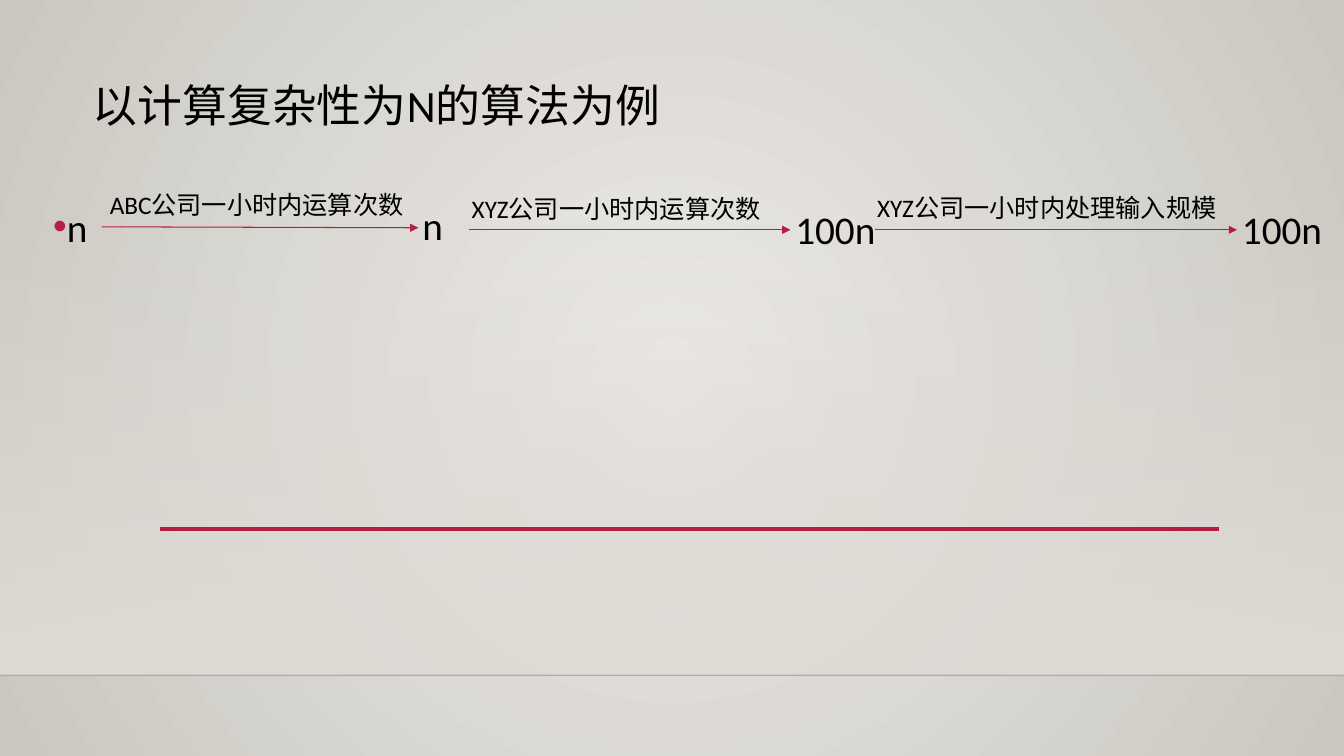
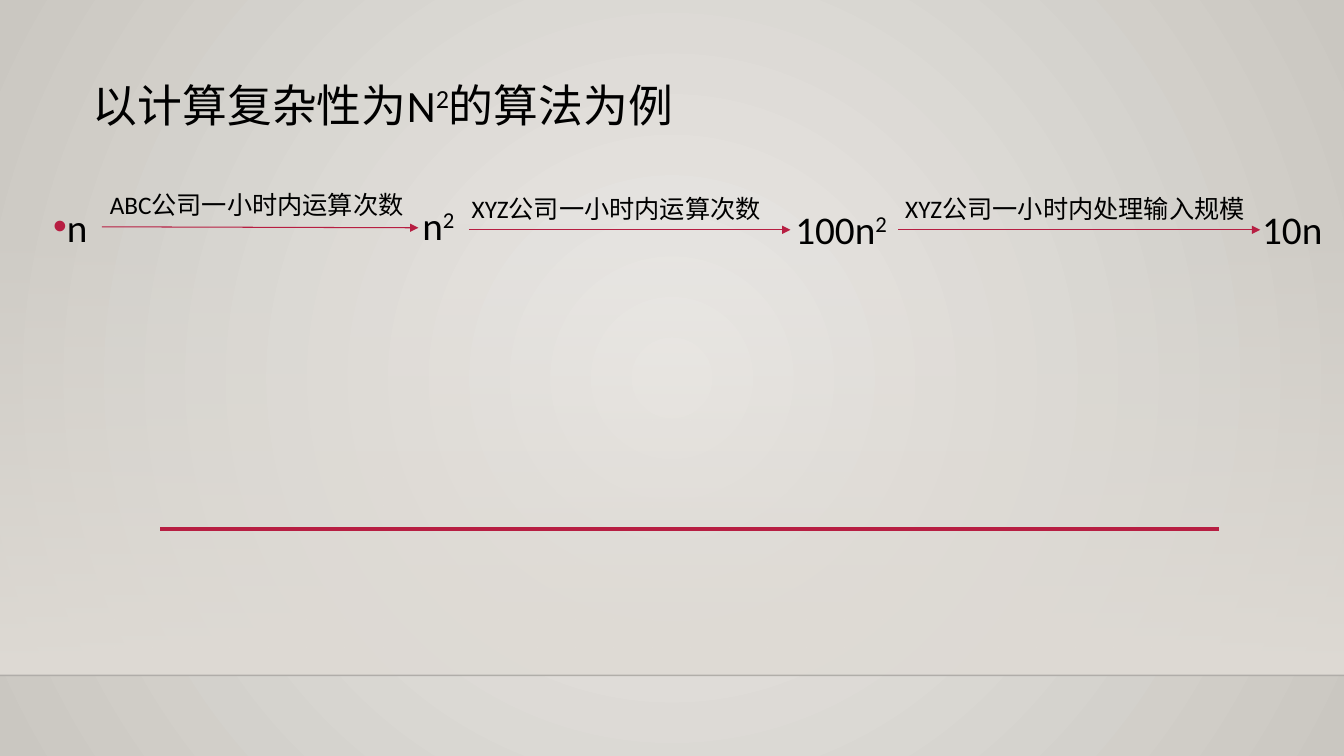
from pptx import Presentation
from pptx import util as u
from pptx.dml.color import RGBColor
from pptx.enum import shapes, text
from pptx.oxml import parse_xml
from pptx.oxml.ns import nsdecls, qn

COLS, ROWS = 13.33, 7.5
CELL = u.Inches(1)
FACE = "Calibri"
INK, RED, EDGE = "000000", "B71E42", "000001"
HALO, RIM, FLOOR = "ECEAE7", "CAC7C1", "DFDBD5"
BASE = 6.7
LABEL = {"size": 18}
TERM = {"size": 28}
HEAD = {"size": 32}
GROW = {"auto_size": text.MSO_AUTO_SIZE.SHAPE_TO_FIT_TEXT}
FIXED = {"auto_size": text.MSO_AUTO_SIZE.NONE}
TOP = {"vertical_anchor": text.MSO_ANCHOR.TOP}

DECKS = [
    {"title": "以计算复杂性为N的算法为例",
     "terms": [("n", 4.09, 1.95), ("100n", 7.79, 1.99), ("100n", 12.22, 1.99)],
     "last": 8.68, "label": (8.6, 1.86)},
    {"title": "以计算复杂性为N^2^的算法为例",
     "terms": [("n^2", 4.09, 1.95), ("100n^2", 7.79, 1.99), ("10n", 12.42, 1.99)],
     "last": 8.91, "label": (8.88, 1.87)},
]


def grid(*cells):
    return [round(cell * CELL) for cell in cells]


def hue(code):
    return RGBColor.from_string(code)


def style(item, *formats):
    for values in formats:
        for key, value in values.items():
            setattr(item, key, value)


def blend(stops, mode):
    marks = "".join(
        f'<a:gs pos="{pos * 1000}"><a:srgbClr val="{hue(code)}">'
        f'<a:alpha val="{alpha * 1000}"/></a:srgbClr></a:gs>'
        for pos, code, alpha in stops)
    return (f'<a:gradFill {nsdecls("a")} rotWithShape="1">'
            f'<a:gsLst>{marks}</a:gsLst>{mode}</a:gradFill>')


def write(para, words, size):
    for turn, part in enumerate(words.split("^")):
        if part:
            run = para.add_run()
            run.text = part
            style(run.font, {"name": FACE, "size": u.Pt(size["size"])})
            run.font.color.rgb = hue(INK)
            if turn % 2:
                run.font._element.set("baseline", "30000")


def box(slide, words, size, at, fit=GROW):
    frame = slide.shapes.add_textbox(*grid(*at)).text_frame
    style(frame, {"word_wrap": True}, fit, TOP)
    para = frame.paragraphs[0]
    write(para, words, size)
    return para


def rule(slide, start, end, width, code=RED, arrow=False):
    line = slide.shapes.add_connector(
        shapes.MSO_CONNECTOR.STRAIGHT, *grid(*start, *end))
    line.line.width = u.Pt(width)
    line.line.color.rgb = hue(code)
    if arrow:
        line.line._get_or_add_ln().append(
            parse_xml(f'<a:tailEnd {nsdecls("a")} type="triangle"/>'))
    line.element.spPr.append(parse_xml(f'<a:effectLst {nsdecls("a")}/>'))
    return line


def stage(layout, slide):
    glow = blend([(0, HALO, 100), (100, RIM, 100)],
                 '<a:path path="circle"><a:fillToRect l="50000" t="50000" '
                 'r="50000" b="50000"/></a:path>')
    layout.element.cSld.insert(0, parse_xml(
        f'<p:bg {nsdecls("p", "a")}><p:bgPr>{glow}<a:effectLst/></p:bgPr></p:bg>'))
    band = slide.shapes.add_shape(
        shapes.MSO_SHAPE.RECTANGLE, *grid(0, 2.21, COLS, BASE - 2.21))
    band.shadow.inherit = False
    band.line.fill.background()
    band.fill.background()
    props = band.element.spPr
    props.replace(props.find(qn("a:noFill")), parse_xml(
        blend([(0, FLOOR, 0), (100, FLOOR, 100)], '<a:lin ang="5400000" scaled="0"/>')))
    edge = rule(slide, (0, BASE), (COLS, BASE), 1, EDGE)
    edge.element.xpath(".//a:ln//a:srgbClr")[0].append(
        parse_xml(f'<a:alpha {nsdecls("a")} val="20000"/>'))
    for turn, part in enumerate((band, edge)):
        part.element.xpath(".//p:cNvPr")[0].set("id", str(100 + turn))
        layout.shapes.element.insert(2 + turn, part.element)


def head(slide, words):
    title = slide.shapes.title
    style(title, dict(zip(("left", "top", "width", "height"),
                          grid(0.82, 0.78, 10.5, 1.15))))
    style(title.text_frame, {"word_wrap": True}, FIXED, TOP)
    para = title.text_frame.paragraphs[0]
    style(para, {"alignment": text.PP_ALIGN.LEFT, "line_spacing": 0.9})
    write(para, words, HEAD)


def bullet(slide, words):
    para = box(slide, words, TERM, (0.43, 1.87, 11.5, 4.76), FIXED)
    style(para, {"line_spacing": 1.2, "space_before": u.Pt(10)})
    props = para._p.get_or_add_pPr()
    style(props, {"marL": CELL // 4, "indent": -CELL // 4})
    for tag in (f'<a:buClr {nsdecls("a")}><a:srgbClr val="{hue(RED)}"/></a:buClr>',
                f'<a:buFont {nsdecls("a")} typeface="Arial"/>',
                f'<a:buChar {nsdecls("a")} char="•"/>'):
        props.append(parse_xml(tag))


def chain(slide, deck):
    bullet(slide, "n")
    last = deck["last"]
    for start, end in (((1.01, 2.25), (4.15, 2.26)),
                       ((4.65, 2.28), (7.84, 2.28)),
                       ((last, 2.28), (last + 3.59, 2.28))):
        rule(slide, start, end, 0.75, arrow=True)
    for words, left, top in deck["terms"]:
        box(slide, words, TERM, (left, top, 1.17, 0.57))
    for words, spot, width in (("ABC公司一小时内运算次数", (0.99, 1.83), 3.32),
                               ("XYZ公司一小时内运算次数", (4.58, 1.87), 3.32),
                               ("XYZ公司一小时内处理输入规模", deck["label"], 3.75)):
        box(slide, words, LABEL, (*spot, width, 0.4))


def main():
    show = Presentation()
    show.slide_width, show.slide_height = grid(COLS, ROWS)
    layout = show.slide_layouts.get_by_name("Title Only")
    slides = [show.slides.add_slide(layout) for deck in DECKS]
    stage(layout, slides[0])
    for slide, deck in zip(slides, DECKS):
        rule(slide, (1.59, 5.25), (12.09, 5.25), 2.5)
        head(slide, deck["title"])
        chain(slide, deck)
    show.save("out.pptx")


if __name__ == "__main__":
    main()
